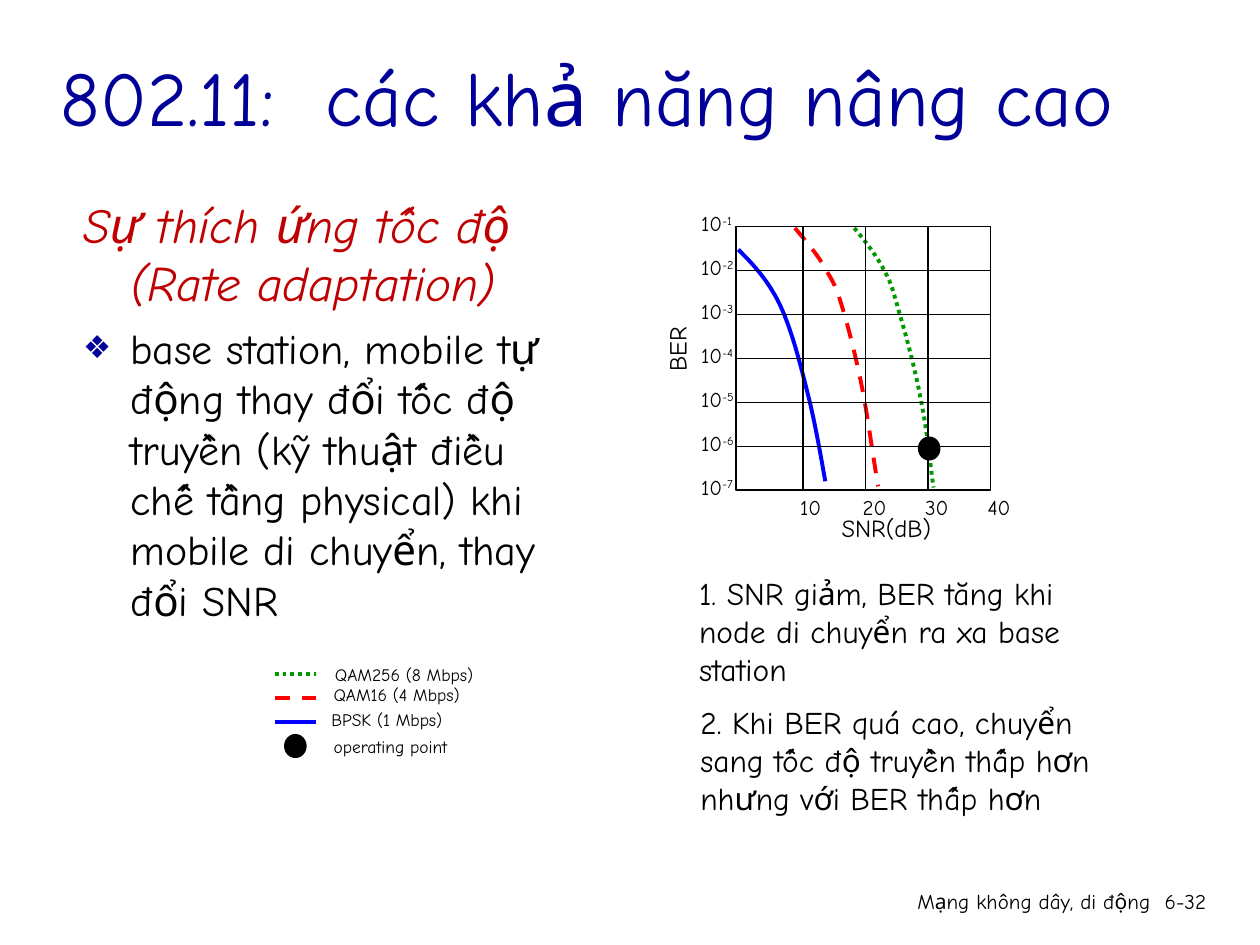
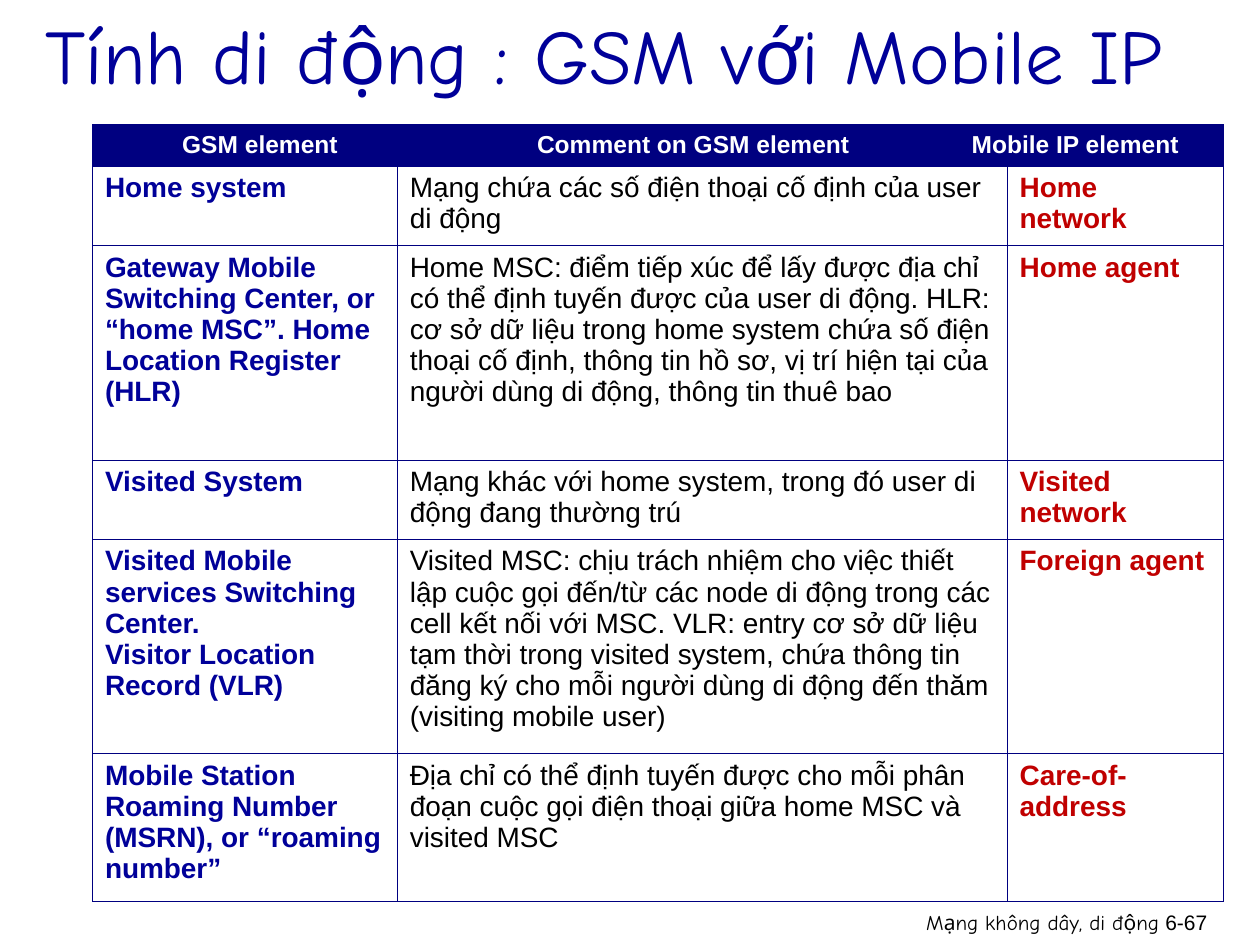
"""Build two lecture slides on wireless rate adaptation and GSM mobility."""
from dataclasses import dataclass
from typing import Any, NamedTuple, Optional

from lxml import etree
from pptx import Presentation
from pptx import util as u
from pptx.dml.color import RGBColor
from pptx.enum import dml, shapes, text
from pptx.oxml import ns


@dataclass(frozen=True)
class Theme:
    hand: str = "Comic Neue"
    plain: str = "Arial"
    black: str = "000000"
    white: str = "FFFFFF"
    blue: str = "000099"
    navy: str = "000080"
    crimson: str = "C00000"
    bpsk: str = "0000FF"
    qam16: str = "FF0000"
    qam256: str = "009900"
    title: float = 44
    lead: float = 28
    body: float = 24
    note: float = 18
    cell: float = 16
    head: float = 14
    small: float = 12
    legend: float = 10
    thin: float = 0.75
    thick: float = 2.25
    border: float = 0.45


THEME = Theme()


class Box(NamedTuple):
    left: float
    top: float
    width: float
    height: float


class Style(NamedTuple):
    size: float
    color: str = THEME.black
    face: str = THEME.hand
    bold: bool = False
    italic: bool = False


class Label(NamedTuple):
    words: str
    box: Box
    style: Style
    power: str = ""
    wrap: bool = False
    align: Any = text.PP_ALIGN.LEFT
    turn: float = 0


class Series(NamedTuple):
    name: str
    color: str
    dash: Optional[Any]
    line_y: float
    label_box: Box
    points: list[tuple[float, float]]


PLOT = Box(420.5, 129.6, 145.5, 150.5)
COLUMN_STEP = 35.7
DOT = (12.2, 13)
LEGEND_X = (157, 180.7)
SERIES = [
    Series("QAM256 (8 Mbps)", THEME.qam256, dml.MSO_LINE.ROUND_DOT, 385.2, Box(184.3, 375.8, 92.9, 19.4),
           [(488.2, 130.3), (494.6, 138.2), (501.1, 146.2), (505.4, 154.8), (509.8, 162.7),
            (510.5, 167), (514.1, 179.3), (517.7, 191.5), (523.4, 212.4), (526.3, 229),
            (529.9, 245.5), (532.1, 270.7), (533.5, 278.6)]),
    Series("QAM16 (4 Mbps)", THEME.qam16, dml.MSO_LINE.DASH, 398.9, Box(183.6, 387.6, 86.4, 19.4),
           [(454.3, 130.3), (460.8, 138.2), (468, 146.2), (472.3, 154.8), (477.4, 162.7),
            (478.8, 167), (482.4, 179.3), (486, 191.5), (491, 211.7), (493.9, 228.2),
            (496.8, 244.8), (499, 261.4), (501.8, 277.9)]),
    Series("BPSK (1 Mbps)", THEME.bpsk, None, 412.6, Box(182.2, 401.8, 77.8, 19.4),
           [(421.9, 142.6), (430.6, 151.2), (439.2, 160.6), (445.7, 174.2), (452.2, 187.9),
            (457.2, 207.4), (461.5, 224.6), (465.8, 241.2), (470.2, 267.1), (471.6, 275)]),
]

COLUMNS = [174.2, 17.3, 303.8, 27.4, 123.8]
ROWS = [23.8, 45.4, 122.4, 45.4, 122.4, 84.2]
HEADINGS = ["GSM element", "Comment on GSM element", "Mobile IP element"]
ELEMENTS = [
    ("Home system", "Mạng chứa các số điện thoại cố định của user di động", "Home network"),
    ("Gateway Mobile Switching Center, or “home MSC”. Home Location Register (HLR)",
     "Home MSC: điểm tiếp xúc để lấy được địa chỉ có thể định tuyến được của user di động. "
     "HLR: cơ sở dữ liệu trong home system chứa số điện thoại cố định, thông tin hồ sơ, "
     "vị trí hiện tại của người dùng di động, thông tin thuê bao", "Home agent"),
    ("Visited System", "Mạng khác với home system, trong đó user di động đang thường trú",
     "Visited network"),
    ("Visited Mobile services Switching Center.\nVisitor Location Record (VLR)",
     "Visited MSC: chịu trách nhiệm cho việc thiết lập cuộc gọi đến/từ các node di động trong "
     "các cell kết nối với MSC. VLR: entry cơ sở dữ liệu tạm thời trong visited system, chứa "
     "thông tin đăng ký cho mỗi người dùng di động đến thăm (visiting mobile user)",
     "Foreign agent"),
    ("Mobile Station Roaming Number (MSRN), or “roaming number”",
     "Địa chỉ có thể định tuyến được cho mỗi phân đoạn cuộc gọi điện thoại giữa home MSC "
     "và visited MSC", "Care-of-address"),
]


def apply(target: Any, values: dict[str, Any]) -> None:
    for name, value in values.items():
        setattr(target, name, value)


def place(shape: Any, box: Box) -> None:
    apply(shape, {name: u.Pt(value) for name, value in box._asdict().items()})


def rgb(color: str) -> RGBColor:
    return RGBColor.from_string(color)


def add_span(para: Any, words: str, style: Style) -> Any:
    span = para.add_run()
    span.text = words
    apply(span.font, {"size": u.Pt(style.size), "name": style.face,
                      "bold": style.bold, "italic": style.italic})
    span.font.color.rgb = rgb(style.color)
    return span


def add_label(page: Any, label: Label) -> None:
    box = page.shapes.add_textbox(*map(u.Pt, label.box))
    box.rotation = label.turn
    apply(box.text_frame, {"word_wrap": label.wrap, "auto_size": text.MSO_AUTO_SIZE.NONE})
    para = box.text_frame.paragraphs[0]
    para.alignment = label.align
    add_span(para, label.words, label.style)
    if label.power:
        span = add_span(para, label.power, label.style)
        span._r.get_or_add_rPr().set("baseline", "30000")


def set_title(page: Any, words: str, box: Box) -> None:
    title = page.shapes.title
    place(title, box)
    apply(title.text_frame, {"word_wrap": True, "auto_size": text.MSO_AUTO_SIZE.NONE,
                             "vertical_anchor": text.MSO_ANCHOR.MIDDLE})
    para = title.text_frame.paragraphs[0]
    para.alignment = text.PP_ALIGN.LEFT
    add_span(para, words, Style(THEME.title, THEME.blue))


def add_footer(page: Any, number: str, left: float, number_left: float, top: float,
               face: str) -> None:
    right = text.PP_ALIGN.RIGHT
    add_label(page, Label("Mạng không dây, di động", Box(left, top, 303.8, 25.2),
                          Style(THEME.small), wrap=True, align=right))
    add_label(page, Label(number, Box(number_left, top, 53.3, 36),
                          Style(THEME.small, face=face), wrap=True, align=right))


def style_line(line: Any, color: str, width: float, dash: Optional[Any] = None) -> None:
    line.color.rgb = rgb(color)
    line.width = u.Pt(width)
    if dash is not None:
        line.dash_style = dash


def add_line(page: Any, start: tuple[float, float], end: tuple[float, float],
             color: str = THEME.black, width: float = THEME.thin,
             dash: Optional[Any] = None) -> None:
    line = page.shapes.add_connector(shapes.MSO_CONNECTOR.STRAIGHT, *map(u.Pt, start + end))
    style_line(line.line, color, width, dash)
    etree.SubElement(line._element.spPr, ns.qn("a:effectLst"))


def add_shape(page: Any, kind: Any, box: Box, fill: Optional[str] = None) -> None:
    shape = page.shapes.add_shape(kind, *map(u.Pt, box))
    shape.shadow.inherit = False
    if fill:
        shape.fill.solid()
        shape.fill.fore_color.rgb = rgb(fill)
    else:
        shape.fill.background()
    style_line(shape.line, THEME.black, THEME.thin)


def bezier(points: list[tuple[float, float]], steps: int = 8) -> list[tuple[int, int]]:
    curve = []
    for first in range(0, len(points) - 1, 3):
        controls = points[first:first + 4]
        for step in range(1, steps + 1):
            t = step / steps
            weights = ((1 - t) ** 3, 3 * t * (1 - t) ** 2, 3 * t * t * (1 - t), t ** 3)
            curve.append(tuple(u.Pt(sum(w * p[axis] for w, p in zip(weights, controls)))
                               for axis in (0, 1)))
    return curve


def add_curve(page: Any, series: Series) -> None:
    builder = page.shapes.build_freeform(*map(u.Pt, series.points[0]))
    builder.add_line_segments(bezier(series.points), close=False)
    curve = builder.convert_to_shape()
    curve.shadow.inherit = False
    curve.fill.background()
    style_line(curve.line, series.color, THEME.thick, series.dash)


def set_bullet(para: Any, char: str = "") -> None:
    props = para._p.get_or_add_pPr()
    apply_indent = {"marL": u.Pt(27), "indent": -u.Pt(27)}
    for name, value in apply_indent.items():
        props.set(name, str(value))
    if not char:
        etree.SubElement(props, ns.qn("a:buNone"))
        return
    color = etree.SubElement(props, ns.qn("a:buClr"))
    etree.SubElement(color, ns.qn("a:srgbClr"), val=THEME.blue)
    etree.SubElement(props, ns.qn("a:buSzPct"), val="75000")
    etree.SubElement(props, ns.qn("a:buChar"), char=char)


def fill_body(page: Any) -> None:
    body = page.placeholders[1]
    place(body, Box(40.3, 107.3, 295.2, 365.8))
    apply(body.text_frame, {"word_wrap": True, "auto_size": text.MSO_AUTO_SIZE.NONE})
    lead = body.text_frame.paragraphs[0]
    item = body.text_frame.add_paragraph()
    for para, char, space in ((lead, "", 0), (item, "❖", 6)):
        set_bullet(para, char)
        para.space_before = u.Pt(space)
    add_span(lead, "Sự thích ứng tốc độ (Rate adaptation)",
             Style(THEME.lead, THEME.crimson, italic=True))
    add_span(item, "base station, mobile tự động thay đổi tốc độ truyền (kỹ thuật điều chế "
                   "tầng physical) khi mobile di chuyển, thay đổi SNR", Style(THEME.body))


def draw_plot(page: Any) -> None:
    right, bottom = PLOT.left + PLOT.width, PLOT.top + PLOT.height
    small, axis = Style(THEME.small), Style(THEME.head)
    for series in SERIES:
        add_curve(page, series)
    add_shape(page, shapes.MSO_SHAPE.RECTANGLE, PLOT)
    for power in range(1, 8):
        y = PLOT.top + (power - 1) * PLOT.height / 6
        add_label(page, Label("10", Box(393.6, y - 12.6, 32.4, 21.6), small, f"-{power}"))
        if 1 < power < 7:
            add_line(page, (PLOT.left, y), (right, y))
    for tick in range(1, 5):
        x = right - (4 - tick) * COLUMN_STEP
        add_label(page, Label(str(10 * tick), Box(x - 8.8, 279, 27.4, 21.6), small))
        if tick < 4:
            add_line(page, (x, PLOT.top), (x, bottom))
    add_label(page, Label("SNR(dB)", Box(473.8, 289.4, 65.5, 24.5), axis))
    add_label(page, Label("BER", Box(367.2, 187.2, 39.6, 24.5), axis, turn=270))
    add_shape(page, shapes.MSO_SHAPE.OVAL, Box(524.9, 249.8, *DOT), THEME.black)


def draw_legend(page: Any) -> None:
    style = Style(THEME.legend)
    for series in SERIES:
        start, end = ((x, series.line_y) for x in LEGEND_X)
        add_line(page, start, end, series.color, THEME.thick, series.dash)
        add_label(page, Label(series.name, series.label_box, style))
    add_shape(page, shapes.MSO_SHAPE.OVAL, Box(162.7, 419.8, *DOT), THEME.black)
    add_label(page, Label("operating point", Box(183.6, 416.9, 79.2, 19.4), style))


def build_rate_page(deck: Any) -> None:
    page = deck.slides.add_slide(deck.slide_layouts[1])
    add_footer(page, "6-32", 360.7, 643, 504, THEME.hand)
    set_title(page, "802.11:  các khả năng nâng cao", Box(27.4, 21.6, 661.7, 66.2))
    fill_body(page)
    draw_plot(page)
    draw_legend(page)
    notes = ["1. SNR giảm, BER tăng khi node di chuyển ra xa base station",
             "2. Khi BER quá cao, chuyển sang tốc độ truyền thấp hơn nhưng với BER thấp hơn"]
    for index, words in enumerate(notes):
        add_label(page, Label(words, Box(392.4 + 0.7 * index, 324.7 + 73.5 * index, 252, 72),
                              Style(THEME.note), wrap=True))


def set_borders(cell: Any) -> None:
    props = cell._tc.get_or_add_tcPr()
    for index, side in enumerate(("lnL", "lnR", "lnT", "lnB")):
        line = etree.Element(ns.qn(f"a:{side}"), w=str(u.Pt(THEME.border)))
        fill = etree.SubElement(line, ns.qn("a:solidFill"))
        etree.SubElement(fill, ns.qn("a:srgbClr"), val=THEME.navy)
        props.insert(index, line)


def fill_cell(cell: Any, words: str, style: Style, align: Any) -> None:
    for index, line in enumerate(words.split("\n")):
        frame = cell.text_frame
        para = frame.add_paragraph() if index else frame.paragraphs[0]
        para.alignment = align
        add_span(para, line, style)


def build_mobility_page(deck: Any) -> None:
    page = deck.slides.add_slide(deck.slide_layouts[5])
    add_footer(page, "6-67", 365.8, 643.7, 516.2, THEME.plain)
    set_title(page, "Tính di động : GSM với Mobile IP", Box(18.7, -14.4, 701.3, 90))
    box = Box(52.8, 71.3, sum(COLUMNS), sum(ROWS))
    table = page.shapes.add_table(len(ROWS), len(COLUMNS), *map(u.Pt, box)).table
    for column, width in zip(table.columns, COLUMNS):
        column.width = u.Pt(width)
    for row, height in zip(table.rows, ROWS):
        row.height = u.Pt(height)
    for cell in table.iter_cells():
        cell.fill.background()
        set_borders(cell)
    left, center = text.PP_ALIGN.LEFT, text.PP_ALIGN.CENTER
    for first, last in ((0, 1), (3, 4)):
        table.cell(0, first).merge(table.cell(0, last))
    for cell in table.rows[0].cells:
        cell.fill.solid()
        cell.fill.fore_color.rgb = rgb(THEME.navy)
    heading = Style(THEME.head, THEME.white, THEME.plain, True)
    for column, words, align in zip((0, 2, 3), HEADINGS, (center, center, left)):
        fill_cell(table.cell(0, column), words, heading, align)
    styles = [Style(THEME.cell, color, THEME.plain, bold) for color, bold in
              ((THEME.blue, True), (THEME.black, False), (THEME.crimson, True))]
    for row, element in enumerate(ELEMENTS, 1):
        table.cell(row, 1).merge(table.cell(row, 3))
        for column, words, style in zip((0, 1, 4), element, styles):
            fill_cell(table.cell(row, column), words, style, left)


def main() -> None:
    deck = Presentation()
    apply(deck, {"slide_width": u.Pt(720), "slide_height": u.Pt(540)})
    build_rate_page(deck)
    build_mobility_page(deck)
    deck.save("out.pptx")


if __name__ == "__main__":
    main()
